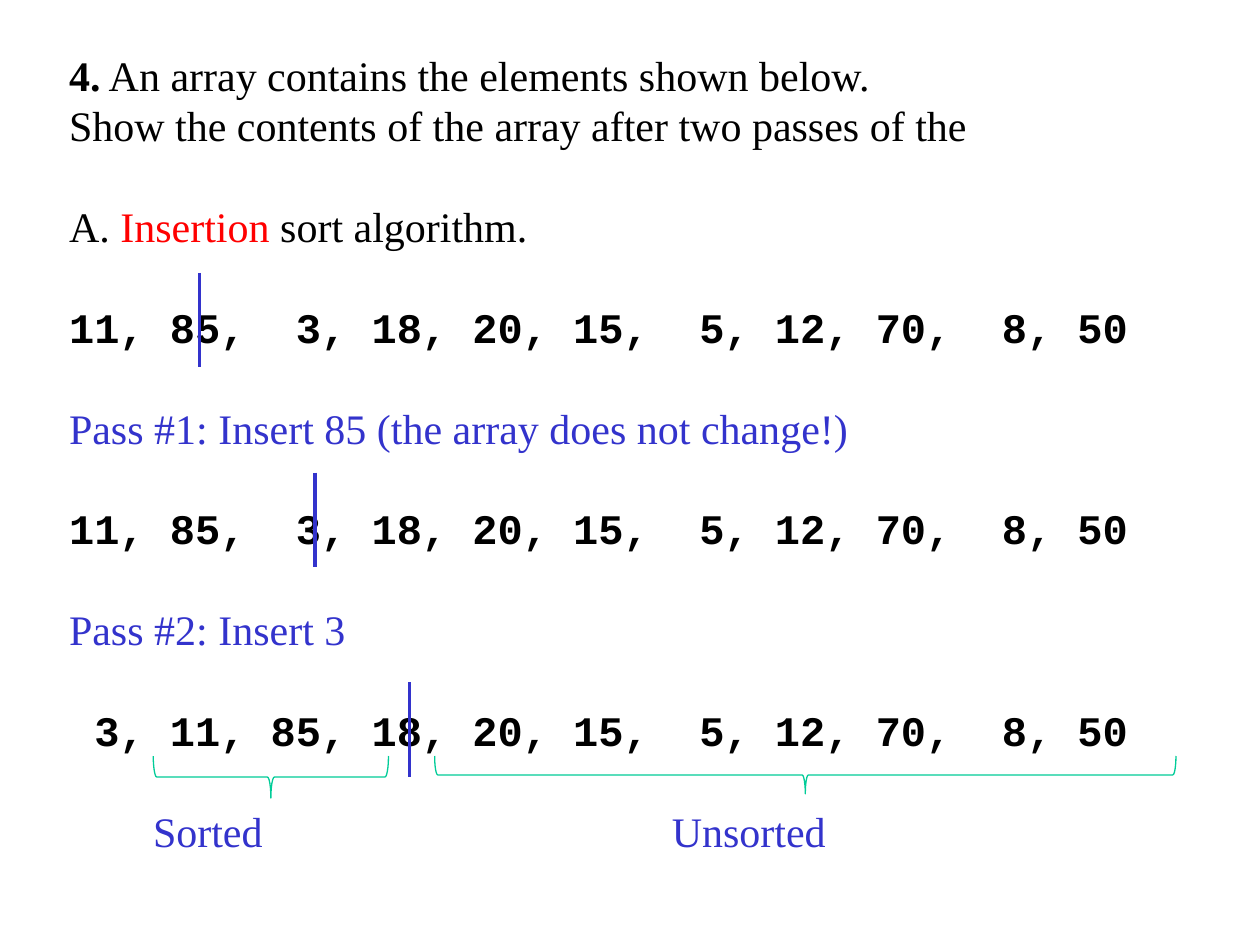
from lxml.etree import SubElement
from pptx import Presentation
from pptx.dml.color import RGBColor
from pptx.enum.shapes import MSO_CONNECTOR, MSO_SHAPE
from pptx.enum.text import MSO_ANCHOR, PP_ALIGN
from pptx.oxml.ns import qn
from pptx.util import Inches, Pt

COLUMNS, ROWS = 120, 90
BLACK, RED, BLUE, GREEN = "000000", "FF0000", "3333CC", "00CC98"
SERIF, MONO = "Times New Roman", "Courier New"


def rgb(value):
    return RGBColor.from_string(value)


class SlideBuilder:
    size = Pt(24)
    line_height = Pt(28.8)

    def __init__(self, prs):
        self.s = prs.slides.add_slide(prs.slide_layouts[6])
        self.col = prs.slide_width / COLUMNS
        self.row = prs.slide_height / ROWS

    def place(self, *cells):
        units = (self.col, self.row) * 2
        return [round(cell * unit) for cell, unit in zip(cells, units)]

    def text_box(self, *cells):
        tf = self.s.shapes.add_textbox(*self.place(*cells)).text_frame
        tf.word_wrap = True
        tf.vertical_anchor = MSO_ANCHOR.TOP
        return tf

    def paragraph(self, tf, parts, gap=True, font=SERIF, tabs=()):
        """Add one line of (text, colour, bold) parts, with a gap of one line above."""
        p = tf.paragraphs[0]
        if p.runs:
            p = tf.add_paragraph()
        p.alignment = PP_ALIGN.LEFT
        p.line_spacing = self.line_height
        p.space_before = self.line_height if gap else Pt(0)
        if tabs:
            tab_list = SubElement(p._p.get_or_add_pPr(), qn("a:tabLst"))
            for stop in tabs:
                SubElement(tab_list, qn("a:tab"), pos=str(round(stop * self.col)), algn="l")
        for text, color, bold in parts:
            r = p.add_run()
            r.text = text
            r.font.name, r.font.size, r.font.bold = font, self.size, bold
            r.font.color.rgb = rgb(color)

    def array(self, tf, numbers):
        text = ", ".join(f"{n:>2}" for n in numbers)
        self.paragraph(tf, [(text, BLACK, True)], font=MONO)

    def divider(self, col, row, length=9):
        start, end = self.place(col, row), self.place(col, row + length)
        line = self.s.shapes.add_connector(MSO_CONNECTOR.STRAIGHT, *start, *end)
        line.line.color.rgb = rgb(BLUE)
        line.line.width = Pt(2)
        SubElement(line._element.spPr, qn("a:effectLst"))

    def brace_below(self, left, right, row, depth):
        """Turn a left brace so that it spans left to right and points down."""
        x, y, span, height = self.place(left, row, right - left, depth)
        shift = (span - height) // 2
        brace = self.s.shapes.add_shape(
            MSO_SHAPE.LEFT_BRACE, x + shift, y - shift, height, span)
        brace.rotation = 270
        brace.shadow.inherit = False
        brace.fill.background()
        brace.line.color.rgb = rgb(GREEN)
        brace.line.width = Pt(0.75)


def main():
    prs = Presentation()
    prs.slide_width, prs.slide_height = Inches(10), Inches(7.5)
    b = SlideBuilder(prs)

    # Question
    tf = b.text_box(5.4, 4.1, 115.2, 78)
    b.paragraph(tf, [("4.", BLACK, True),
                     (" An array contains the elements shown below.", BLACK, False)], gap=False)
    b.paragraph(tf, [("Show the contents of the array after two passes of the",
                      BLACK, False)], gap=False)
    b.paragraph(tf, [("A. ", BLACK, False), ("Insertion", RED, False),
                     (" sort algorithm.", BLACK, False)])

    # Array before and after each pass
    start = [11, 85, 3, 18, 20, 15, 5, 12, 70, 8, 50]
    b.array(tf, start)
    b.paragraph(tf, [("Pass #1: Insert 85 (the array does not change!)", BLUE, False)])
    b.array(tf, start)
    b.paragraph(tf, [("Pass #2: Insert 3", BLUE, False)])
    b.array(tf, sorted(start[:3]) + start[3:])
    b.paragraph(tf, [("\tSorted\tUnsorted", BLUE, False)], tabs=(8, 57.4))

    # Borders between the sorted and unsorted parts
    for col, row in ((19, 26), (30, 45), (39, 65)):
        b.divider(col, row)

    # Braces over the two labels
    b.brace_below(14.6, 37, row=72, depth=4)
    b.brace_below(41.4, 112, row=72, depth=3.6)

    prs.save("out.pptx")


if __name__ == "__main__":
    main()
